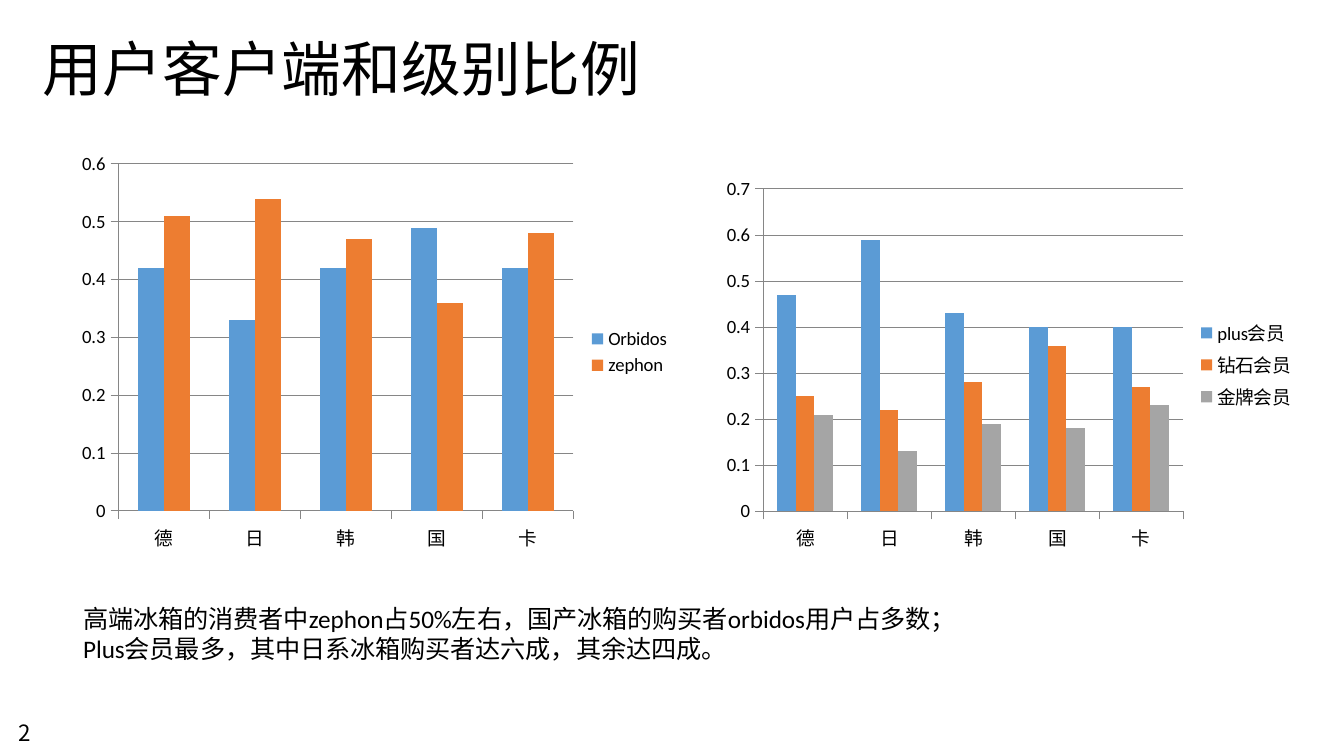
from dataclasses import dataclass

from lxml.etree import SubElement
from pptx import Presentation
from pptx.chart.data import CategoryChartData
from pptx.dml.color import RGBColor
from pptx.enum.chart import XL_CHART_TYPE, XL_LEGEND_POSITION, XL_TICK_MARK
from pptx.enum.text import MSO_ANCHOR
from pptx.oxml.ns import qn
from pptx.util import Inches, Pt

WIDTH = 10
HEIGHT = WIDTH * 9 / 16
LATIN, CJK = "Calibri", "Noto Sans CJK SC"
BLACK, WHITE, GREY = "000000", "FFFFFF", "868686"
SERIES_COLOURS = ("5B9BD5", "ED7D31", "A5A5A5")
FRIDGE_ORIGINS = ("德", "日", "韩", "国", "卡")


@dataclass
class Box:
    left: float
    top: float
    width: float
    height: float

    def emu(self) -> tuple:
        return tuple(Inches(v) for v in (self.left, self.top, self.width, self.height))


@dataclass
class Caption:
    box: Box
    lines: tuple
    size: float
    font: str
    anchor: MSO_ANCHOR = MSO_ANCHOR.TOP
    spacing: float = 1.0
    wrap: bool = True


@dataclass
class ShareChart:
    box: Box
    top_value: float
    shares: dict


def colour(hex_code: str) -> RGBColor:
    return RGBColor.from_string(hex_code)


def draw_caption(slide, caption: Caption) -> None:
    frame = slide.shapes.add_textbox(*caption.box.emu()).text_frame
    frame.word_wrap = caption.wrap
    frame.vertical_anchor = caption.anchor
    frame.text = "\n".join(caption.lines)
    for paragraph in frame.paragraphs:
        paragraph.line_spacing = caption.spacing
        for run in paragraph.runs:
            run.font.size = Pt(caption.size)
            run.font.name = caption.font
            run.font.color.rgb = colour(BLACK)
            SubElement(run.font._element, qn("a:ea"), typeface=CJK)


def draw_chart(slide, share_chart: ShareChart) -> None:
    data = CategoryChartData()
    data.categories = FRIDGE_ORIGINS
    for name, values in share_chart.shares.items():
        data.add_series(name, values)
    chart = slide.shapes.add_chart(
        XL_CHART_TYPE.COLUMN_CLUSTERED, *share_chart.box.emu(), data).chart
    chart.has_title = False
    chart.font.name = LATIN
    chart.font.size = Pt(10)
    chart.font.color.rgb = colour(BLACK)

    # Legend
    chart.has_legend = True
    chart.legend.position = XL_LEGEND_POSITION.RIGHT
    chart.legend.include_in_layout = False

    # Columns
    columns = chart.plots[0]
    columns.gap_width = 150
    columns.overlap = 0
    columns.vary_by_categories = False
    for series, fill in zip(columns.series, SERIES_COLOURS):
        series.format.fill.solid()
        series.format.fill.fore_color.rgb = colour(fill)

    # Axes
    shares_axis = chart.value_axis
    shares_axis.minimum_scale = 0
    shares_axis.maximum_scale = share_chart.top_value
    shares_axis.major_unit = 0.1
    shares_axis.has_major_gridlines = True
    shares_axis.tick_labels.number_format = "General"
    shares_axis.tick_labels.number_format_is_linked = False
    for axis in (chart.category_axis, shares_axis):
        axis.major_tick_mark = XL_TICK_MARK.OUTSIDE
        axis.minor_tick_mark = XL_TICK_MARK.NONE
    for rule in (chart.category_axis, shares_axis, shares_axis.major_gridlines):
        rule.format.line.color.rgb = colour(GREY)
        rule.format.line.width = Pt(0.5)


CAPTIONS = (
    Caption(Box(0.04, 5.3, 0.42, 0.3), ("2",), 12, CJK, wrap=False),
    Caption(Box(0.22, 0.25, 8.62, 0.57), ("用户客户端和级别比例",), 32, CJK,
            MSO_ANCHOR.MIDDLE, 0.9),
    Caption(Box(0.52, 4.44, 6.99, 0.56), (
        "高端冰箱的消费者中zephon占50%左右，国产冰箱的购买者orbidos用户占多数；",
        "Plus会员最多，其中日系冰箱购买者达六成，其余达四成。"), 13.5, LATIN),
)
CHARTS = (
    ShareChart(Box(0.52, 1.08, 4.57, 3.08), 0.6, {
        "Orbidos": (0.42, 0.33, 0.42, 0.49, 0.42),
        "zephon": (0.51, 0.54, 0.47, 0.36, 0.48)}),
    ShareChart(Box(5.32, 1.27, 4.41, 2.89), 0.7, {
        "plus会员": (0.47, 0.59, 0.43, 0.4, 0.4),
        "钻石会员": (0.25, 0.22, 0.28, 0.36, 0.27),
        "金牌会员": (0.21, 0.13, 0.19, 0.18, 0.23)}),
)

# Slide
deck = Presentation()
deck.slide_width, deck.slide_height = Inches(WIDTH), Inches(HEIGHT)
slide = deck.slides.add_slide(deck.slide_layouts[6])
slide.background.fill.solid()
slide.background.fill.fore_color.rgb = colour(WHITE)

# Client and membership charts
for share_chart in CHARTS:
    draw_chart(slide, share_chart)

# Page number, title and findings
for caption in CAPTIONS:
    draw_caption(slide, caption)

deck.save("out.pptx")
